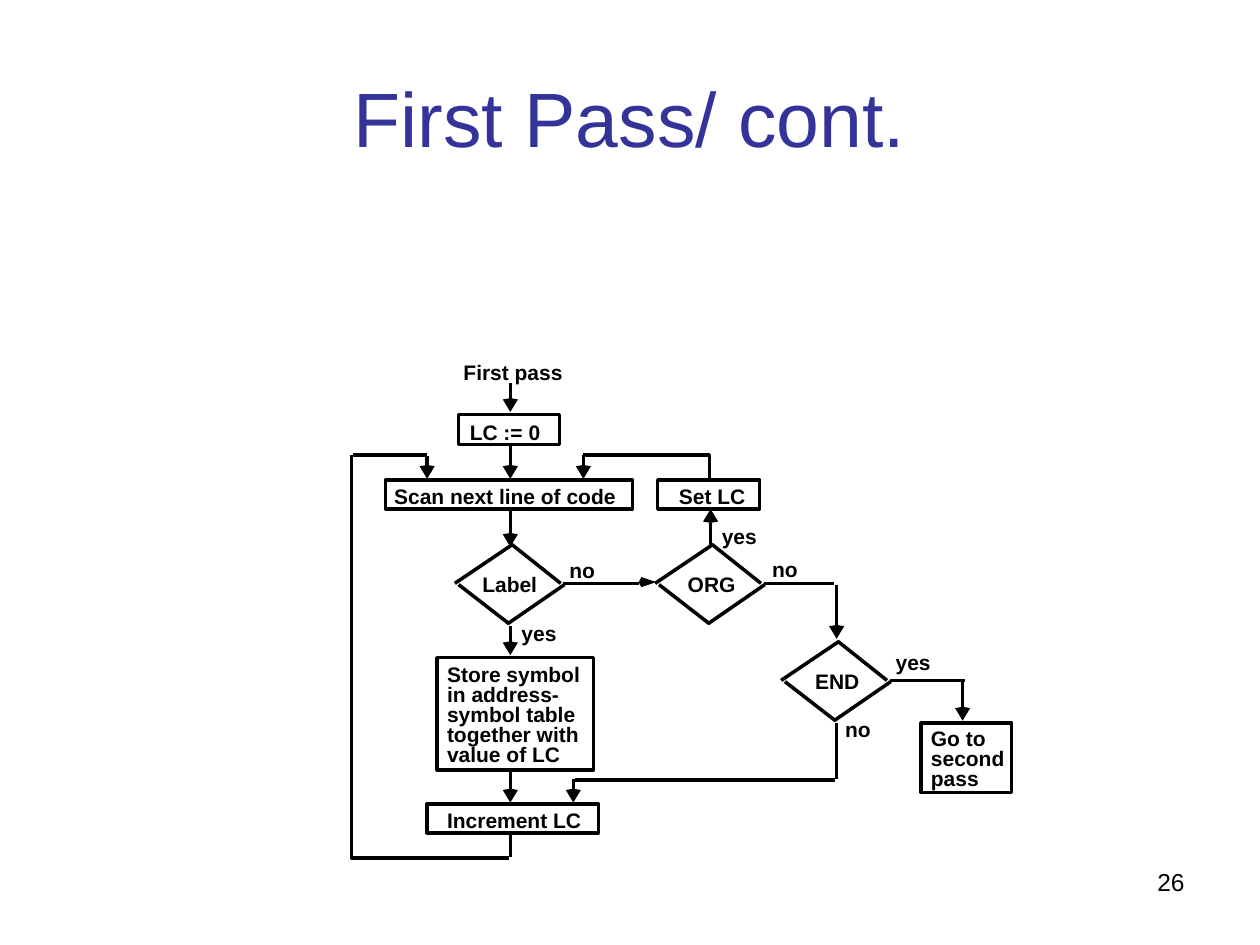
"""Build the assembler first-pass flowchart slide."""
import lxml.etree
import pptx
import pptx.dml.color
import pptx.enum.shapes
import pptx.enum.text
import pptx.oxml.ns
import pptx.util

Inches = pptx.util.Inches
ALIGN = pptx.enum.text.PP_ALIGN
ANCHOR = pptx.enum.text.MSO_ANCHOR
FIT = pptx.enum.text.MSO_AUTO_SIZE

THEME = {
    "font": "Arial", "title": "333399", "ink": "000000", "paper": "FFFFFF",
    "title_size": 44, "label_size": 12, "number_size": 14,
    "line_width": 2, "line_spacing": 0.9, "line_pitch": 0.16,
}

TITLE = ("First Pass/ cont.", (0.5, 0.3, 9, 1.25))
PAGE_NUMBER = ("26", (7.17, 6.83, 2.33, 0.52))

BOXES = [
    (7.31, 5.74, 0.72, 0.55),
    (3.39, 6.38, 1.36, 0.23),
    (3.47, 5.22, 1.24, 0.89),
    (5.22, 3.81, 0.81, 0.23),
    (3.06, 3.81, 1.96, 0.23),
    (3.64, 3.29, 0.80, 0.24),
]
DECISION_CENTRES = [(4.05, 4.63), (5.64, 4.63), (6.64, 5.4)]
DECISION_EDGES = [
    ((0.02, -0.31), (-0.44, 0)),
    ((0.43, 0.01), (-0.02, 0.32)),
    ((0.01, -0.31), (0.4, 0)),
    ((-0.41, 0.01), (-0.01, 0.32)),
]
LINES = [
    ((4.05, 3.04), (4.05, 3.18)),
    ((4.05, 3.53), (4.05, 3.7)),
    ((4.63, 3.61), (4.63, 3.72)),
    ((4.05, 4.05), (4.05, 4.26)),
    ((4.47, 4.63), (5.07, 4.63)),
    ((5.64, 4.15), (5.64, 4.34)),
    ((4.05, 4.97), (4.05, 5.1)),
    ((6.06, 4.63), (6.62, 4.63)),
    ((6.64, 4.64), (6.64, 4.98)),
    ((4.05, 6.11), (4.05, 6.27)),
    ((4.05, 6.63), (4.05, 6.8)),
    ((3.39, 3.62), (3.39, 3.7)),
    ((2.8, 3.61), (3.39, 3.61)),
    ((6.64, 5.74), (6.64, 6.18)),
    ((4.56, 6.19), (6.63, 6.19)),
    ((4.55, 6.18), (4.55, 6.27)),
    ((7.06, 5.4), (7.66, 5.4)),
    ((7.64, 5.41), (7.64, 5.62)),
]
RETURN_PATHS = [
    [(5.63, 3.8), (5.63, 3.61), (4.63, 3.61)],
    [(2.79, 3.61), (2.79, 6.81), (4.04, 6.81)],
]
HEADS = {
    "down": [(-0.06, -0.1), (0, -0.11), (0.06, -0.1)],
    "up": [(0.06, 0.1), (0, 0.11), (-0.06, 0.1)],
    "right": [(-0.12, 0.04), (-0.14, 0), (-0.12, -0.04)],
}
ARROW_TIPS = {
    "down": [(4.05, 3.27), (4.05, 3.8), (4.63, 3.8), (4.05, 4.34), (4.05, 5.2),
             (6.64, 5.07), (4.05, 6.37), (3.39, 3.8), (4.55, 6.37), (7.64, 5.72)],
    "up": [(5.64, 4.04)],
    "right": [(5.21, 4.62)],
}
LABELS = [
    (3.58, 2.83, [("First pass", 0.99)]),
    (3.63, 3.3, [("LC := 0", 0.76)]),
    (3.03, 3.81, [("Scan next line of code", 1.96)]),
    (5.29, 3.81, [("Set LC", 0.73)]),
    (3.73, 4.51, [("Label", 0.63)]),
    (4.42, 4.4, [("no", 0.4)]),
    (4.04, 4.9, [("yes", 0.48)]),
    (5.63, 4.13, [("yes", 0.48)]),
    (6.03, 4.39, [("no", 0.4)]),
    (5.36, 4.51, [("ORG", 0.58)]),
    (3.45, 5.22, [("Store symbol", 1.25), ("in address-", 1.09), ("symbol table", 1.22),
                  ("together with", 1.24), ("value of LC", 1.1)]),
    (6.37, 5.28, [("END", 0.55)]),
    (3.45, 6.38, [("Increment LC", 1.26)]),
    (7.29, 5.73, [("Go to", 0.63), ("second", 0.78), ("pass", 0.58)]),
    (6.61, 5.66, [("no", 0.4)]),
    (7.01, 5.13, [("yes", 0.48)]),
]
LABEL_HEIGHT = 0.28
LABEL_SLACK = 0.03


def colour(name):
    """Return a theme colour."""
    return pptx.dml.color.RGBColor.from_string(THEME[name])


def apply(target, values):
    """Set attributes from a dict of format values."""
    for name, value in values.items():
        setattr(target, name, value)


def write(box, text, size, ink="ink", bold=False, frame_format=None, para_format=None):
    """Fill a text frame with one formatted paragraph."""
    apply(box.text_frame, frame_format or {})
    para = box.text_frame.paragraphs[0]
    apply(para, para_format or {})
    span = para.add_run()
    span.text = text
    apply(span.font, {"name": THEME["font"], "size": pptx.util.Pt(THEME[size]), "bold": bold})
    span.font.color.rgb = colour(ink)


def stroke(shape):
    """Give a shape the flowchart line."""
    shape.line.color.rgb = colour("ink")
    shape.line.width = pptx.util.Pt(THEME["line_width"])


def fill(shape, name):
    """Give a shape a solid theme fill and no shadow."""
    shape.shadow.inherit = False
    shape.fill.solid()
    shape.fill.fore_color.rgb = colour(name)


def add_line(shapes, start, end):
    """Draw one straight flowchart line."""
    line = shapes.add_connector(pptx.enum.shapes.MSO_CONNECTOR.STRAIGHT,
                                *map(Inches, (*start, *end)))
    stroke(line)
    lxml.etree.SubElement(line._element.spPr, pptx.oxml.ns.qn("a:effectLst"))


def add_outline(shapes, points, close):
    """Draw a freeform through the given points."""
    first, *rest = [tuple(map(Inches, point)) for point in points]
    builder = shapes.build_freeform(*first, scale=1.0)
    builder.add_line_segments(rest, close=close)
    return builder.convert_to_shape()


def shifted(point, offset):
    """Move a point by an offset."""
    return point[0] + offset[0], point[1] + offset[1]


def main():
    """Assemble and save the slide."""
    deck = pptx.Presentation()
    apply(deck, {"slide_width": Inches(10), "slide_height": Inches(7.5)})
    page = deck.slides.add_slide(deck.slide_layouts[5])
    shapes = page.shapes

    text, place = TITLE
    apply(shapes.title, dict(zip(("left", "top", "width", "height"), map(Inches, place))))
    write(shapes.title, text, "title_size", "title",
          frame_format={"vertical_anchor": ANCHOR.MIDDLE, "auto_size": FIT.NONE},
          para_format={"alignment": ALIGN.CENTER})
    text, place = PAGE_NUMBER
    write(shapes.add_textbox(*map(Inches, place)), text, "number_size",
          frame_format={"word_wrap": True}, para_format={"alignment": ALIGN.RIGHT})

    for place in BOXES:
        box = shapes.add_shape(pptx.enum.shapes.MSO_SHAPE.RECTANGLE, *map(Inches, place))
        fill(box, "paper")
        stroke(box)
    for centre in DECISION_CENTRES:
        diamond = shapes.add_group_shape()
        for start, end in DECISION_EDGES:
            add_line(diamond.shapes, shifted(centre, start), shifted(centre, end))
    for points in RETURN_PATHS:
        route = add_outline(shapes, points, close=False)
        route.shadow.inherit = False
        route.fill.background()
        stroke(route)
    for start, end in LINES:
        add_line(shapes, start, end)
    for direction, tips in ARROW_TIPS.items():
        for tip in tips:
            corners = [shifted(tip, offset) for offset in HEADS[direction]]
            head = add_outline(shapes, corners + [tip], close=True)
            fill(head, "ink")
            head.line.fill.background()
    for left, top, lines in LABELS:
        for index, (text, width) in enumerate(lines):
            place = (left, top + index * THEME["line_pitch"], width + LABEL_SLACK, LABEL_HEIGHT)
            write(shapes.add_textbox(*map(Inches, place)), text, "label_size", bold=True,
                  frame_format={"word_wrap": False, "auto_size": FIT.SHAPE_TO_FIT_TEXT},
                  para_format={"line_spacing": THEME["line_spacing"]})
    deck.save("out.pptx")


if __name__ == "__main__":
    main()
